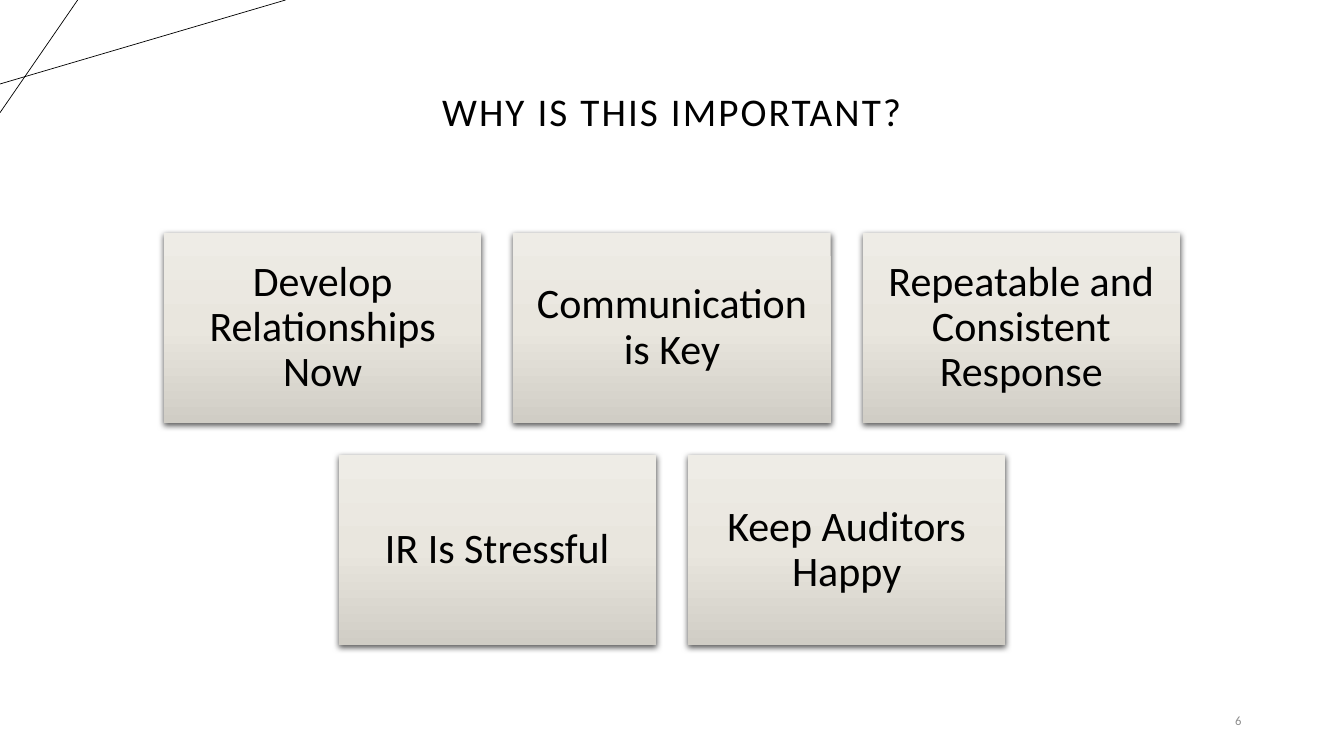
import copy
import lxml.etree
import pptx
import pptx.util
import pptx.dml.color
import pptx.enum.shapes
import pptx.enum.text
import pptx.oxml
import pptx.oxml.ns

Pt = pptx.util.Pt
RGBColor = pptx.dml.color.RGBColor
Align = pptx.enum.text.PP_ALIGN
qn = pptx.oxml.ns.qn

TITLE = "WHY IS THIS IMPORTANT?"
CARD_ROWS = [
    ["Develop Relationships Now", "Communication is Key", "Repeatable and Consistent Response"],
    ["IR Is Stressful", "Keep Auditors Happy"],
]
PAGE_NUMBER = "6"
CORNER_LINES = [((0, 60), (204, 0)), ((55.5, 0), (0, 80.5))]

BLACK = RGBColor(0x00, 0x00, 0x00)
GREY = RGBColor(0x8C, 0x8C, 0x8C)
CARD_STOPS = [
    (0, RGBColor(0xEE, 0xEC, 0xE6)),
    (0.5, RGBColor(0xE9, 0xE6, 0xDE)),
    (1, RGBColor(0xD0, 0xCD, 0xC5)),
]
FONT = "Calibri"

PAGE_WIDTH, PAGE_HEIGHT = 960, 540
CARD_WIDTH, CARD_HEIGHT, CARD_GAP = 226.8, 136.1, 22.7
CARDS_TOP = 166.2
CARD_INSET = 9

SHADOW = (
    '<a:outerShdw xmlns:a="http://schemas.openxmlformats.org/drawingml/2006/main"'
    f' blurRad="{Pt(4.5)}" dist="{Pt(1.5)}" dir="5400000" algn="ctr" rotWithShape="0">'
    '<a:srgbClr val="000000"><a:alpha val="63000"/></a:srgbClr></a:outerShdw>'
)


def write(shape, text, size, color, alignment, line_spacing=None):
    frame = shape.text_frame
    frame.word_wrap = True
    frame.auto_size = pptx.enum.text.MSO_AUTO_SIZE.NONE
    frame.vertical_anchor = pptx.enum.text.MSO_ANCHOR.MIDDLE
    para = frame.paragraphs[0]
    para.alignment = alignment
    para.line_spacing = line_spacing
    span = para.add_run()
    span.text = text
    span.font.name = FONT
    span.font.size = Pt(size)
    span.font.color.rgb = color
    return span


def add_corner_line(page, start, end):
    line = page.shapes.add_connector(
        pptx.enum.shapes.MSO_CONNECTOR.STRAIGHT, *map(Pt, start + end))
    line.line.color.rgb = BLACK
    line.line.width = Pt(0.5)
    lxml.etree.SubElement(line._element.spPr, qn("a:effectLst"))


def add_card(page, text, left, top):
    card = page.shapes.add_shape(
        pptx.enum.shapes.MSO_SHAPE.RECTANGLE,
        Pt(left), Pt(top), Pt(CARD_WIDTH), Pt(CARD_HEIGHT))
    card.fill.gradient()
    card.fill.gradient_angle = 270
    stop_list = card._element.spPr.find(".//" + qn("a:gsLst"))
    stop_list.append(copy.deepcopy(stop_list[-1]))
    for stop, (position, color) in zip(card.fill.gradient_stops, CARD_STOPS):
        stop.position = position
        stop.color.rgb = color
    card.line.fill.background()
    card.shadow.inherit = False
    effects = card._element.spPr.find(qn("a:effectLst"))
    effects.append(pptx.oxml.parse_xml(SHADOW))
    frame = card.text_frame
    frame.margin_left = frame.margin_right = Pt(CARD_INSET)
    frame.margin_top = frame.margin_bottom = Pt(CARD_INSET)
    write(card, text, 30, BLACK, Align.CENTER, 0.9)


def main():
    deck = pptx.Presentation()
    deck.slide_width, deck.slide_height = Pt(PAGE_WIDTH), Pt(PAGE_HEIGHT)
    page = deck.slides.add_slide(deck.slide_layouts.get_by_name("Title Only"))

    for start, end in CORNER_LINES:
        add_corner_line(page, start, end)

    title = page.shapes.title
    title.left, title.top, title.width, title.height = map(Pt, (66, 28.8, 828, 104.4))
    span = write(title, TITLE, 28, BLACK, Align.CENTER, 0.9)
    span.font._element.set("spc", "150")

    for row, texts in enumerate(CARD_ROWS):
        row_width = len(texts) * (CARD_WIDTH + CARD_GAP) - CARD_GAP
        row_left = (PAGE_WIDTH - row_width) / 2
        top = CARDS_TOP + row * (CARD_HEIGHT + CARD_GAP)
        for column, text in enumerate(texts):
            add_card(page, text, row_left + column * (CARD_WIDTH + CARD_GAP), top)

    number = page.shapes.add_textbox(Pt(678), Pt(500.5), Pt(216), Pt(28.8))
    write(number, PAGE_NUMBER, 9, GREY, Align.RIGHT)

    deck.save("out.pptx")


if __name__ == "__main__":
    main()
